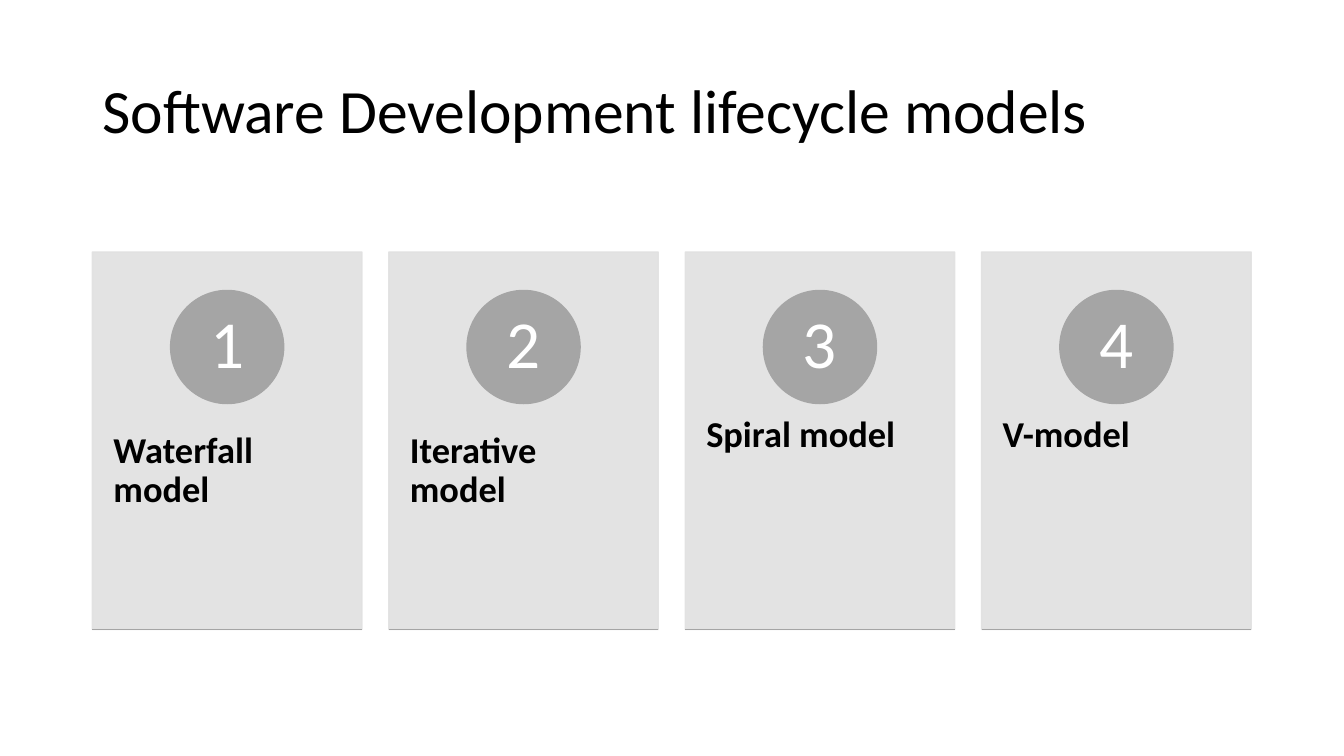
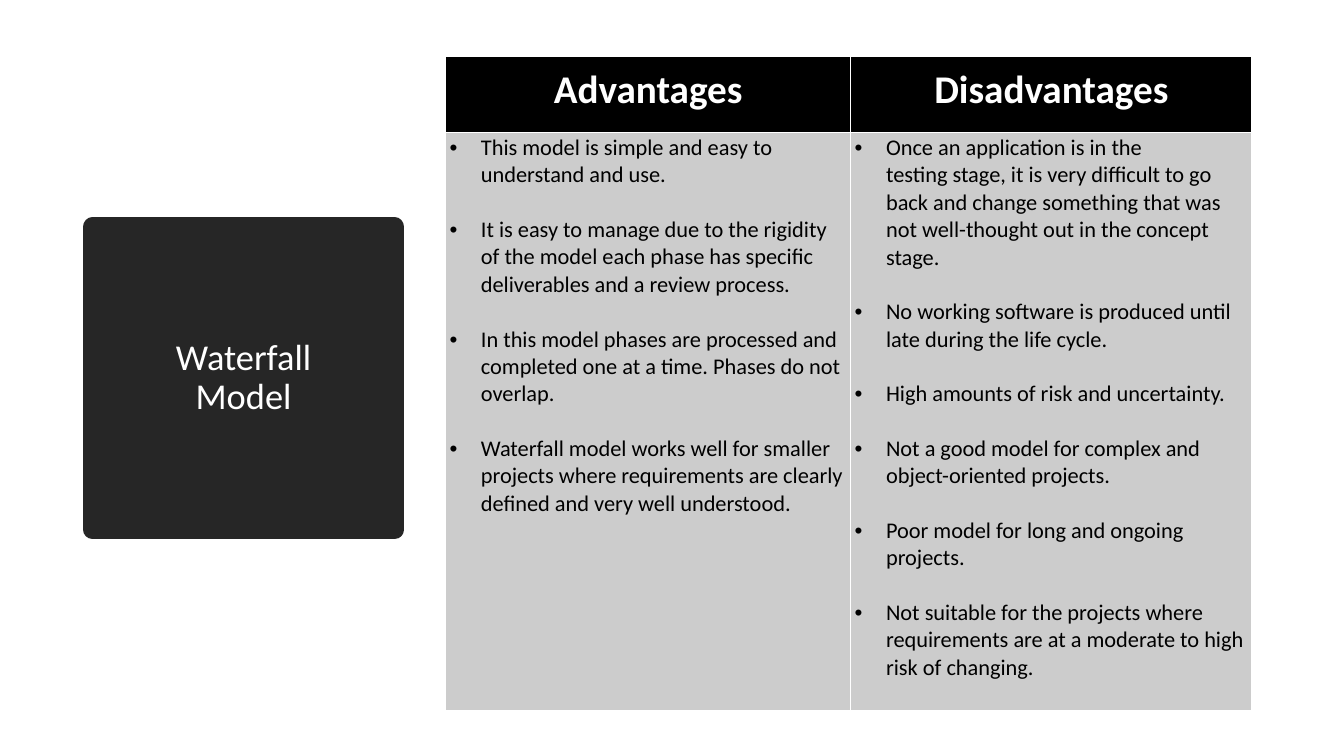
from copy import deepcopy
from dataclasses import dataclass
from typing import Optional

from lxml.etree import SubElement
from pptx import Presentation
from pptx.dml.color import RGBColor
from pptx.enum.shapes import MSO_CONNECTOR, MSO_SHAPE
from pptx.enum.text import MSO_ANCHOR, MSO_AUTO_SIZE, PP_ALIGN
from pptx.oxml.ns import qn
from pptx.shapes.autoshape import Shape
from pptx.slide import Slide
from pptx.table import _Cell
from pptx.text.text import TextFrame
from pptx.util import Cm, Pt

# Shared style
FONT = "Calibri"
BLACK = RGBColor(0x00, 0x00, 0x00)
WHITE = RGBColor(0xFF, 0xFF, 0xFF)
CARD_GRAY = RGBColor(0xE1, 0xE1, 0xE1)
BADGE_GRAY = RGBColor(0xA5, 0xA5, 0xA5)
CHARCOAL = RGBColor(0x26, 0x26, 0x26)
CELL_GRAY = RGBColor(0xCC, 0xCC, 0xCC)
TITLE_ONLY = 5
LEFT = 2.33

# Card grid, in centimetres
CARD_TOP, CARD_WIDTH, CARD_HEIGHT, CARD_PITCH = 6.35, 6.79, 9.51, 7.47
BADGE_TOP, BADGE_SIZE = 7.32, 2.85
LABEL_TOP, LABEL_HEIGHT = 9.98, 5.71
BASELINE = 15.87


@dataclass(frozen=True)
class ModelCard:
    number: int
    name: str

    @property
    def left(self) -> float:
        return LEFT + (self.number - 1) * CARD_PITCH


@dataclass(frozen=True)
class Column:
    heading: str
    width: float
    points: list[str]


def write(frame: TextFrame, *paragraphs: str, size: float, color: RGBColor = BLACK,
          bold: bool = False, align: PP_ALIGN = PP_ALIGN.LEFT, spacing: float = 0.9,
          after: float = 0, bullet_indent: Optional[float] = None) -> None:
    """Fill a text frame; a vertical tab in a paragraph is a line break."""
    for index, text in enumerate(paragraphs):
        paragraph = frame.add_paragraph() if index else frame.paragraphs[0]
        paragraph.text = text
        paragraph.alignment = align
        paragraph.line_spacing = spacing
        paragraph.space_before, paragraph.space_after = Pt(0), Pt(after)
        for run in paragraph.runs:
            run.font.name, run.font.size = FONT, Pt(size)
            run.font.bold = bold
            run.font.color.rgb = color
        for line_break in paragraph._p.findall(qn("a:br")):
            line_break.append(deepcopy(paragraph.runs[0]._r.rPr))
        if bullet_indent is not None:
            properties = paragraph._p.get_or_add_pPr()
            properties.set("marL", str(Cm(bullet_indent)))
            properties.set("indent", str(-Cm(bullet_indent)))
            SubElement(properties, qn("a:buFont"), typeface="Arial")
            SubElement(properties, qn("a:buChar"), char="•")


def set_margins(box: TextFrame | _Cell, horizontal: float, vertical: float) -> None:
    box.margin_left = box.margin_right = Cm(horizontal)
    box.margin_top = box.margin_bottom = Cm(vertical)


def paint(shape: Shape, color: RGBColor, line_width: float = 1,
          opacity: Optional[int] = None) -> None:
    shape.fill.solid()
    shape.fill.fore_color.rgb = color
    shape.line.color.rgb = color
    shape.line.width = Pt(line_width)
    if opacity is not None:
        for value in shape._element.spPr.iter(qn("a:srgbClr")):
            SubElement(value, qn("a:alpha"), val=str(opacity * 1000))


def place_title(slide: Slide, text: str, left: float, top: float, width: float,
                height: float, **text_format) -> Shape:
    title = slide.shapes.title
    title.left, title.top, title.width, title.height = map(Cm, (left, top, width, height))
    frame = title.text_frame
    frame.auto_size = MSO_AUTO_SIZE.NONE
    frame.vertical_anchor = MSO_ANCHOR.MIDDLE
    write(frame, text, **text_format)
    return title


def draw_card(slide: Slide, card: ModelCard) -> None:
    # Panel
    panel = slide.shapes.add_shape(MSO_SHAPE.RECTANGLE, Cm(card.left), Cm(CARD_TOP),
                                   Cm(CARD_WIDTH), Cm(CARD_HEIGHT))
    panel.shadow.inherit = False
    paint(panel, CARD_GRAY, opacity=90)

    # Model name
    label = slide.shapes.add_textbox(Cm(card.left), Cm(LABEL_TOP),
                                     Cm(CARD_WIDTH), Cm(LABEL_HEIGHT)).text_frame
    label.word_wrap = True
    set_margins(label, 0.53, 0.91)
    write(label, card.name, size=26, bold=True)

    # Numbered badge
    badge = slide.shapes.add_shape(
        MSO_SHAPE.OVAL, Cm(card.left + (CARD_WIDTH - BADGE_SIZE) / 2), Cm(BADGE_TOP),
        Cm(BADGE_SIZE), Cm(BADGE_SIZE))
    badge.shadow.inherit = False
    paint(badge, BADGE_GRAY)
    badge.text_frame.vertical_anchor = MSO_ANCHOR.MIDDLE
    set_margins(badge.text_frame, 0.23, 0.03)
    write(badge.text_frame, str(card.number), size=48, color=WHITE, align=PP_ALIGN.CENTER)

    # Rule under the panel
    rule = slide.shapes.add_connector(MSO_CONNECTOR.STRAIGHT, Cm(card.left), Cm(BASELINE),
                                      Cm(card.left + CARD_WIDTH), Cm(BASELINE))
    rule.line.color.rgb = BADGE_GRAY
    rule.line.width = Pt(1)
    SubElement(rule._element.spPr, qn("a:effectLst"))


def fill_cell(cell: _Cell, color: RGBColor, horizontal: float, vertical: float) -> TextFrame:
    cell.fill.solid()
    cell.fill.fore_color.rgb = color
    set_margins(cell, horizontal, vertical)
    return cell.text_frame


def draw_comparison(slide: Slide, columns: list[Column], left: float, top: float,
                    heading_height: float, body_height: float) -> None:
    comparison = slide.shapes.add_table(
        2, len(columns), Cm(left), Cm(top), Cm(sum(column.width for column in columns)),
        Cm(heading_height + body_height)).table
    comparison.horz_banding = False
    comparison.rows[0].height = Cm(heading_height)
    comparison.rows[1].height = Cm(body_height)
    for index, column in enumerate(columns):
        comparison.columns[index].width = Cm(column.width)
        heading = fill_cell(comparison.cell(0, index), BLACK, 0.46, 0.23)
        write(heading, column.heading, size=28, color=WHITE, bold=True,
              align=PP_ALIGN.CENTER, spacing=1.0)
        body = fill_cell(comparison.cell(1, index), CELL_GRAY, 0.1, 0.05)
        write(body, *column.points, size=16, spacing=1.0, after=19.5, bullet_indent=0.79)


MODELS = ["Waterfall model", "Iterative model", "Spiral model", "V-model"]

WATERFALL_COLUMNS = [
    Column("Advantages", 10.21, [
        "This model is simple and easy to understand and use.",
        "It is easy to manage due to the rigidity of the model each phase has specific "
        "deliverables and a review process.",
        "In this model phases are processed and completed one at a time. "
        "Phases do not overlap.",
        "Waterfall model works well for smaller projects where requirements are clearly "
        "defined and very well understood.",
    ]),
    Column("Disadvantages", 10.11, [
        "Once an application is in the testing\u00a0stage, it is very difficult to go back "
        "and change something that was not well-thought out in the concept stage.",
        "No working software is produced until late during the life cycle.",
        "High amounts of risk and uncertainty.",
        "Not a good model for complex and object-oriented projects.",
        "Poor model for long and ongoing projects.",
        "Not suitable for the projects where requirements are at a moderate to high "
        "risk of changing.",
    ]),
]

presentation = Presentation()
presentation.slide_width, presentation.slide_height = Cm(33.87), Cm(19.05)
title_layout = presentation.slide_layouts[TITLE_ONLY]

# Slide 1: lifecycle models
overview = presentation.slides.add_slide(title_layout)
place_title(overview, "Software Development lifecycle models", LEFT, 1.01, 29.21, 3.68,
            size=44)
for number, name in enumerate(MODELS, start=1):
    draw_card(overview, ModelCard(number, name))

# Slide 2: waterfall model
waterfall = presentation.slides.add_slide(title_layout)
waterfall_title = place_title(waterfall, "Waterfall\vModel", LEFT, 5.72, 7.62, 7.62,
                              size=26, color=WHITE, align=PP_ALIGN.CENTER)
paint(waterfall_title, CHARCOAL, line_width=13.75)
draw_comparison(waterfall, WATERFALL_COLUMNS, left=11.23, top=1.43,
                heading_height=1.9, body_height=14.58)

presentation.save("out.pptx")
